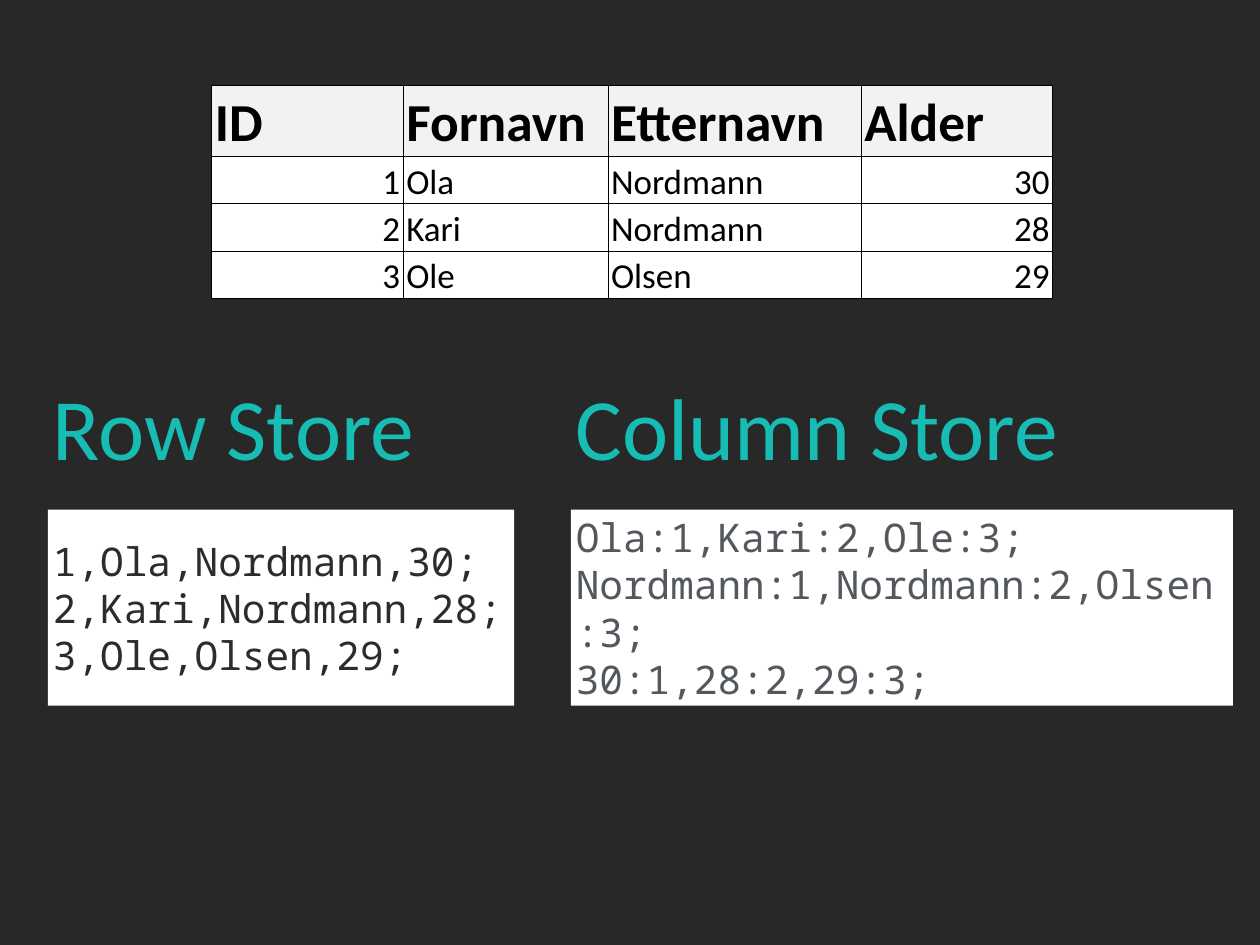
from lxml.etree import fromstring
from pptx import Presentation
from pptx.dml.color import RGBColor
from pptx.enum.shapes import MSO_SHAPE
from pptx.enum.text import MSO_ANCHOR, PP_ALIGN
from pptx.util import Inches, Pt

SPACE = "http://schemas.openxmlformats.org/drawingml/2006/main"
HEAD = {"name": "Calibri", "size": Pt(61), "bold": True}
BODY = {"name": "Calibri", "size": Pt(40), "bold": False}
TITLE = {"name": "Calibri", "size": Pt(100)}
CODE = {"name": "Noto Sans Mono", "size": Pt(45)}
WIDTHS = [3.04, 3.25, 4.02, 3.04]
HEIGHTS = [1.12, 0.75, 0.75, 0.75]
PEOPLE = [
    ["ID", "Fornavn", "Etternavn", "Alder"],
    ["1", "Ola", "Nordmann", "30"],
    ["2", "Kari", "Nordmann", "28"],
    ["3", "Ole", "Olsen", "29"],
]
STORES = [
    (9.06, 10.51, "Column Store", "53585F",
     ["Ola:1,Kari:2,Ole:3;\vNordmann:1,Nordmann:2,Olsen:3;\v30:1,28:2,29:3;"]),
    (0.76, 7.4, "Row Store", "2A2C2F",
     ["1,Ola,Nordmann,30;\v2,Kari,Nordmann,28;", "3,Ole,Olsen,29;"]),
]


def paint(code):
    return RGBColor.from_string(code)


def apply(target, values):
    for name, value in values.items():
        setattr(target, name, value)


class Deck:
    def __init__(self, width, height, back):
        self.show = Presentation()
        apply(self.show, {"slide_width": Inches(width), "slide_height": Inches(height)})
        self.slide = self.show.slides.add_slide(self.show.slide_layouts[6])
        self.fill(self.slide.background, back)
        self.frame = {f"margin_{side}": Inches(0.08)
                      for side in ("left", "top", "right", "bottom")}
        self.frame.update(word_wrap=True, vertical_anchor=MSO_ANCHOR.MIDDLE)

    def fill(self, item, code):
        item.fill.solid()
        item.fill.fore_color.rgb = paint(code)

    def text(self, frame, lines, font, code, align=PP_ALIGN.LEFT):
        for index, line in enumerate(lines):
            para = frame.add_paragraph() if index else frame.paragraphs[0]
            apply(para, {"text": line, "alignment": align})
            for run in para.runs:
                apply(run.font, font)
                run.font.color.rgb = paint(code)

    def label(self, place, title, font, code):
        box = self.slide.shapes.add_textbox(*map(Inches, place))
        apply(box.text_frame, self.frame)
        self.text(box.text_frame, [title], font, code)

    def panel(self, place, lines, font, code):
        box = self.slide.shapes.add_shape(MSO_SHAPE.RECTANGLE, *map(Inches, place))
        box.shadow.inherit = False
        box.line.fill.background()
        self.fill(box, "FFFFFF")
        apply(box.text_frame, self.frame)
        self.text(box.text_frame, lines, font, code)

    def border(self, cell):
        props = cell._tc.get_or_add_tcPr()
        for index, side in enumerate("LRTB"):
            props.insert(index, fromstring(
                f'<a:ln{side} xmlns:a="{SPACE}" w="{Pt(0.5)}"><a:solidFill>'
                f'<a:srgbClr val="000000"/></a:solidFill></a:ln{side}>'))

    def table(self, left, top, widths, heights, rows):
        size = map(Inches, (left, top, sum(widths), sum(heights)))
        grid = self.slide.shapes.add_table(len(rows), len(widths), *size).table
        for col, width in zip(grid.columns, widths):
            col.width = Inches(width)
        for row, height, words in zip(grid.rows, heights, rows):
            row.height = Inches(height)
            first = words is rows[0]
            for cell, word in zip(row.cells, words):
                apply(cell, {"margin_left": Inches(0.05), "margin_right": Inches(0.05),
                             "margin_top": Inches(0.05), "margin_bottom": 0,
                             "vertical_anchor": MSO_ANCHOR.BOTTOM})
                align = PP_ALIGN.RIGHT if word.isdigit() else PP_ALIGN.LEFT
                self.text(cell.text_frame, [word], HEAD if first else BODY, "000000", align)
                self.fill(cell, "F2F2F2" if first else "FFFFFF")
                self.border(cell)


def main():
    deck = Deck(20, 15, "282828")
    deck.table(3.36, 1.36, WIDTHS, HEIGHTS, PEOPLE)
    for left, width, title, code, lines in STORES:
        deck.label((left, 5.84, width, 1.84), title, TITLE, "17BDB4")
        deck.panel((left, 8.09, width, 3.11), lines, CODE, code)
    deck.show.save("out.pptx")


if __name__ == "__main__":
    main()
